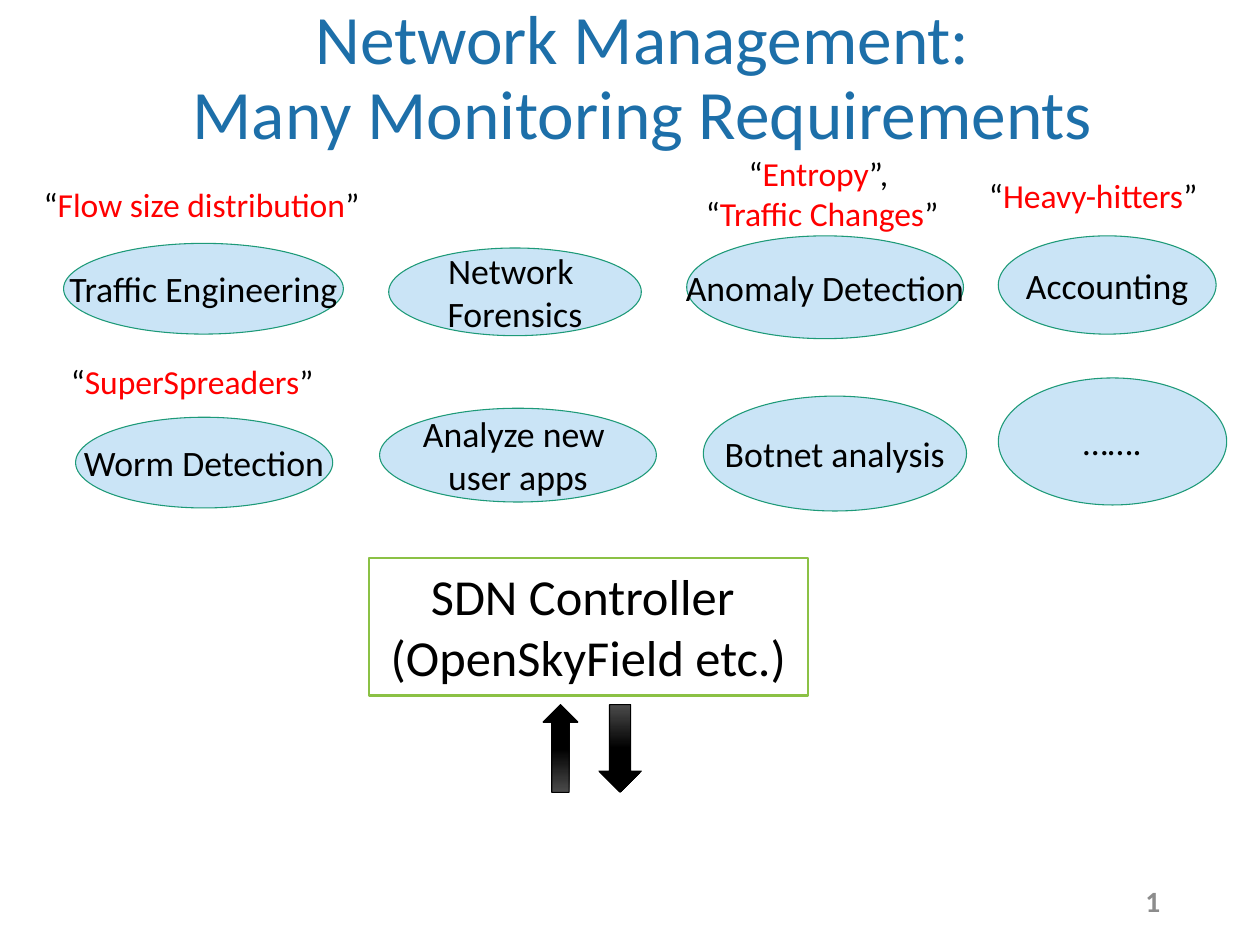
import pptx
import pptx.dml.color
import pptx.enum.shapes
import pptx.enum.text
import pptx.util

PX = 9144
SHAPE = pptx.enum.shapes.MSO_SHAPE
ALIGN = pptx.enum.text.PP_ALIGN
ANCHOR = pptx.enum.text.MSO_ANCHOR
AUTO_SIZE = pptx.enum.text.MSO_AUTO_SIZE


def color(hex_string):
    return pptx.dml.color.RGBColor.from_string(hex_string)


def write(shape, text, size=17, fill="000000", accent="FF0000", bold=False,
          align=ALIGN.CENTER, anchor=ANCHOR.MIDDLE, wrap=False,
          grow=False, line_spacing=None):
    frame = shape.text_frame
    frame.word_wrap = wrap
    frame.auto_size = AUTO_SIZE.SHAPE_TO_FIT_TEXT if grow else AUTO_SIZE.NONE
    frame.vertical_anchor = anchor
    for number, paragraph_text in enumerate(text.split("\n")):
        paragraph = frame.add_paragraph() if number else frame.paragraphs[0]
        paragraph.alignment = align
        paragraph.line_spacing = line_spacing
        for row, line in enumerate(paragraph_text.split("\v")):
            if row:
                paragraph.add_line_break()
            for index, piece in enumerate(line.split("|")):
                run = paragraph.add_run()
                run.text = piece
                run.font.name = "Calibri"
                run.font.size = pptx.util.Pt(size)
                run.font.bold = bold
                run.font.color.rgb = color(accent if index % 2 else fill)


presentation = pptx.Presentation()
presentation.slide_width = 833 * PX
presentation.slide_height = 625 * PX
slide = presentation.slides.add_slide(presentation.slide_layouts[5])

title = slide.shapes.title
title.left, title.top, title.width, title.height = 0, 3 * PX, 850 * PX, 99 * PX
write(title, "Network Management:\vMany Monitoring Requirements",
      size=33, fill="1D6FA9", wrap=True, line_spacing=0.9)

controller = slide.shapes.add_shape(
    SHAPE.RECTANGLE, 244 * PX, 369 * PX, 290 * PX, 91 * PX)
controller.shadow.inherit = False
controller.fill.solid()
controller.fill.fore_color.rgb = color("FFFFFF")
controller.line.color.rgb = color("8BC145")
controller.line.width = pptx.util.Pt(1)
write(controller, "SDN Controller \n(OpenSkyField etc.)", size=24,
      anchor=ANCHOR.TOP)

for left, width, rotation in [(359, 23, 180), (396, 28, 0)]:
    arrow = slide.shapes.add_shape(
        SHAPE.DOWN_ARROW, left * PX, 466 * PX, width * PX, 58 * PX)
    arrow.rotation = rotation
    arrow.shadow.inherit = False
    arrow.fill.gradient()
    arrow.fill.gradient_angle = 270
    stops = arrow.fill.gradient_stops
    for stop, position, shade in zip(stops, (0, 0.5), ("4B4B4B", "000000")):
        stop.position = position
        stop.color.rgb = color(shade)
    arrow.line.color.rgb = color("000000")
    arrow.line.width = pptx.util.Pt(0.5)

applications = [
    ("Traffic Engineering", 42, 161, 185, 60),
    ("Network \nForensics", 257, 164, 167, 58),
    ("Anomaly Detection", 454, 156, 183, 68),
    ("Accounting", 660, 156, 144, 65),
    ("Worm Detection", 50, 276, 170, 60),
    ("Analyze new \nuser apps", 251, 270, 183, 62),
    ("Botnet analysis", 465, 262, 174, 76),
    ("…….", 660, 250, 151, 84),
]
for name, left, top, width, height in applications:
    application = slide.shapes.add_shape(
        SHAPE.OVAL, left * PX, top * PX, width * PX, height * PX)
    application.shadow.inherit = False
    application.fill.solid()
    application.fill.fore_color.rgb = color("CAE4F6")
    application.line.color.rgb = color("1D9A78")
    application.line.width = pptx.util.Pt(0.5)
    write(application, name)

metrics = [
    ("“|Heavy-hitters|”", 644, 111, 160, 37, ALIGN.LEFT),
    ("“|Flow size distribution|”", 19, 117, 232, 37, ALIGN.LEFT),
    ("“|SuperSpreaders|”", 37, 234, 183, 37, ALIGN.LEFT),
    ("“|Entropy|”,\n “|Traffic Changes|”", 450, 96, 182, 64, ALIGN.CENTER),
]
for name, left, top, width, height, align in metrics:
    metric = slide.shapes.add_textbox(
        left * PX, top * PX, width * PX, height * PX)
    write(metric, name, size=16, align=align, anchor=ANCHOR.TOP, grow=True)

page_number = slide.shapes.add_textbox(589 * PX, 579 * PX, 188 * PX, 33 * PX)
write(page_number, "1", size=14, fill="8C8C8C", bold=True,
      align=ALIGN.RIGHT, wrap=True)

presentation.save("out.pptx")
